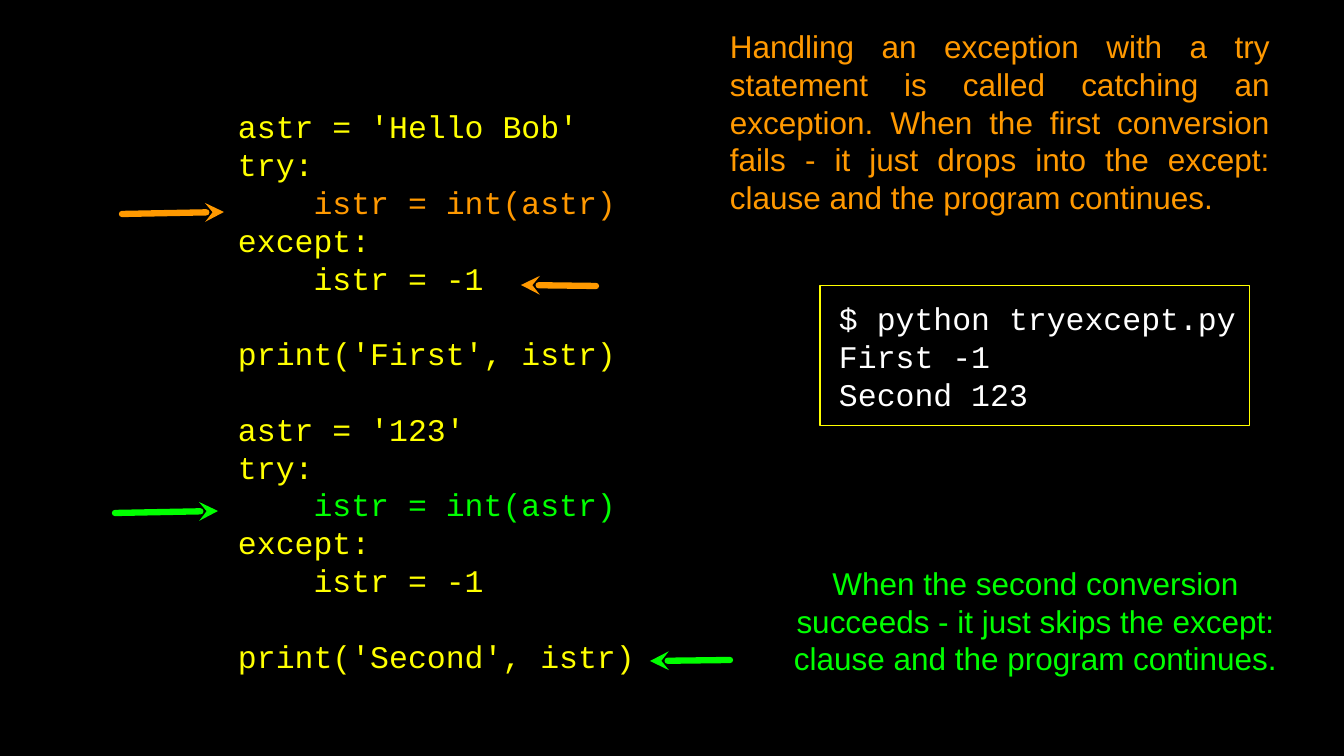
from dataclasses import dataclass

from lxml import etree
from pptx import Presentation
from pptx import util as u
from pptx.dml.color import RGBColor
from pptx.enum import shapes, text
from pptx.oxml.ns import qn

PX = 914400 / 75.6


@dataclass(frozen=True)
class Theme:
    back: str = "000000"
    code: str = "FFFF00"
    fail: str = "FF9900"
    good: str = "00FF00"
    shell: str = "FFFFFF"
    mono: str = "Courier New"
    sans: str = "Arial"
    size: int = 30
    pitch: int = 36
    edge: int = 1
    arrow: int = 6


T = Theme()
ALIGN = text.PP_ALIGN

CODE = """astr = 'Hello Bob'
try:
    istr = int(astr)
except:
    istr = -1

print('First', istr)

astr = '123'
try:
    istr = int(astr)
except:
    istr = -1

print('Second', istr)"""
MARKS = {2: T.fail, 10: T.good}

SHELL = """$ python tryexcept.py
First -1
Second 123"""

FAIL = ("Handling an exception with a try statement is called catching an "
        "exception. When the first conversion fails - it just drops into the "
        "except: clause and the program continues.")
GOOD = ("When the second conversion succeeds - it just skips the except: "
        "clause and the program continues.")

# tip x, tip y, end x, end y, colour
ARROWS = [
    (224, 212, 122, 214, T.fail),
    (521, 285, 596, 286, T.fail),
    (218, 511, 115, 513, T.good),
    (650, 661, 730, 660, T.good),
]


def px(*nums):
    return [u.Emu(round(n * PX)) for n in nums]


def rgb(code):
    return RGBColor.from_string(code)


def write(shape, body, color, face, align=ALIGN.LEFT, inset=0, marks=None):
    """Fill a shape line by line; an empty line becomes space before the next."""
    frame = shape.text_frame
    frame.word_wrap = True
    frame.vertical_anchor = text.MSO_ANCHOR.MIDDLE
    frame.margin_left = px(inset)[0]
    frame.margin_right = frame.margin_top = frame.margin_bottom = 0
    gap = 0
    for num, line in enumerate(body.split("\n")):
        if not line:
            gap += T.pitch
            continue
        para = frame.add_paragraph() if num else frame.paragraphs[0]
        para.add_run().text = line
        para.alignment = align
        para.line_spacing = u.Pt(T.pitch)
        para.space_before = u.Pt(gap)
        para.font.name = face
        para.font.size = u.Pt(T.size)
        para.font.color.rgb = rgb((marks or {}).get(num, color))
        gap = 0


def add_text(slide, box, body, color, face, **style):
    write(slide.shapes.add_textbox(*px(*box)), body, color, face, **style)


def add_shell(slide, box, body):
    shape = slide.shapes.add_shape(shapes.MSO_SHAPE.RECTANGLE, *px(*box))
    shape.shadow.inherit = False
    shape.fill.background()
    shape.line.color.rgb = rgb(T.code)
    shape.line.width = u.Pt(T.edge)
    write(shape, body, T.shell, T.mono, inset=19)


def add_arrow(slide, ends, color):
    """Draw a round-capped line whose head sits at its first point."""
    link = slide.shapes.add_connector(shapes.MSO_CONNECTOR.STRAIGHT, *px(*ends))
    link.line.color.rgb = rgb(color)
    link.line.width = u.Pt(T.arrow)
    line = link.line._get_or_add_ln()
    line.set("cap", "rnd")
    etree.SubElement(line, qn("a:headEnd"), type="stealth")
    etree.SubElement(link._element.spPr, qn("a:effectLst"))


def main():
    deck = Presentation()
    deck.slide_width, deck.slide_height = px(1344, 756)
    slide = deck.slides.add_slide(deck.slide_layouts[6])
    fill = slide.background.fill
    fill.solid()
    fill.fore_color.rgb = rgb(T.back)

    add_text(slide, (238, 94, 430, 594), CODE, T.code, T.mono, marks=MARKS)
    add_shell(slide, (820, 286, 430, 140), SHELL)
    add_text(slide, (730, 31, 540, 181), FAIL, T.fail, T.sans,
             align=ALIGN.JUSTIFY)
    add_text(slide, (792, 561, 487, 119), GOOD, T.good, T.sans,
             align=ALIGN.CENTER)
    for *ends, color in ARROWS:
        add_arrow(slide, ends, color)
    deck.save("out.pptx")


if __name__ == "__main__":
    main()
